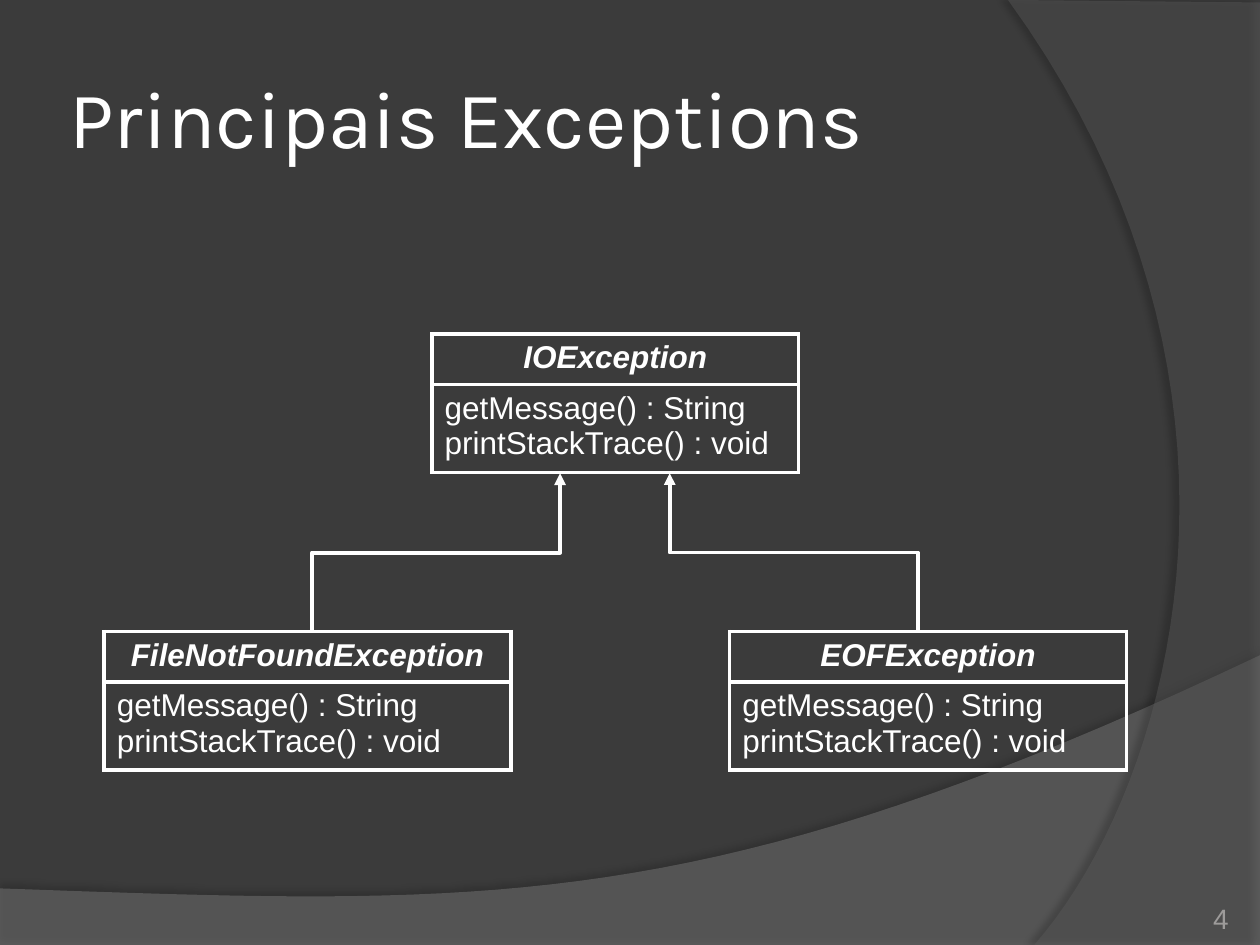
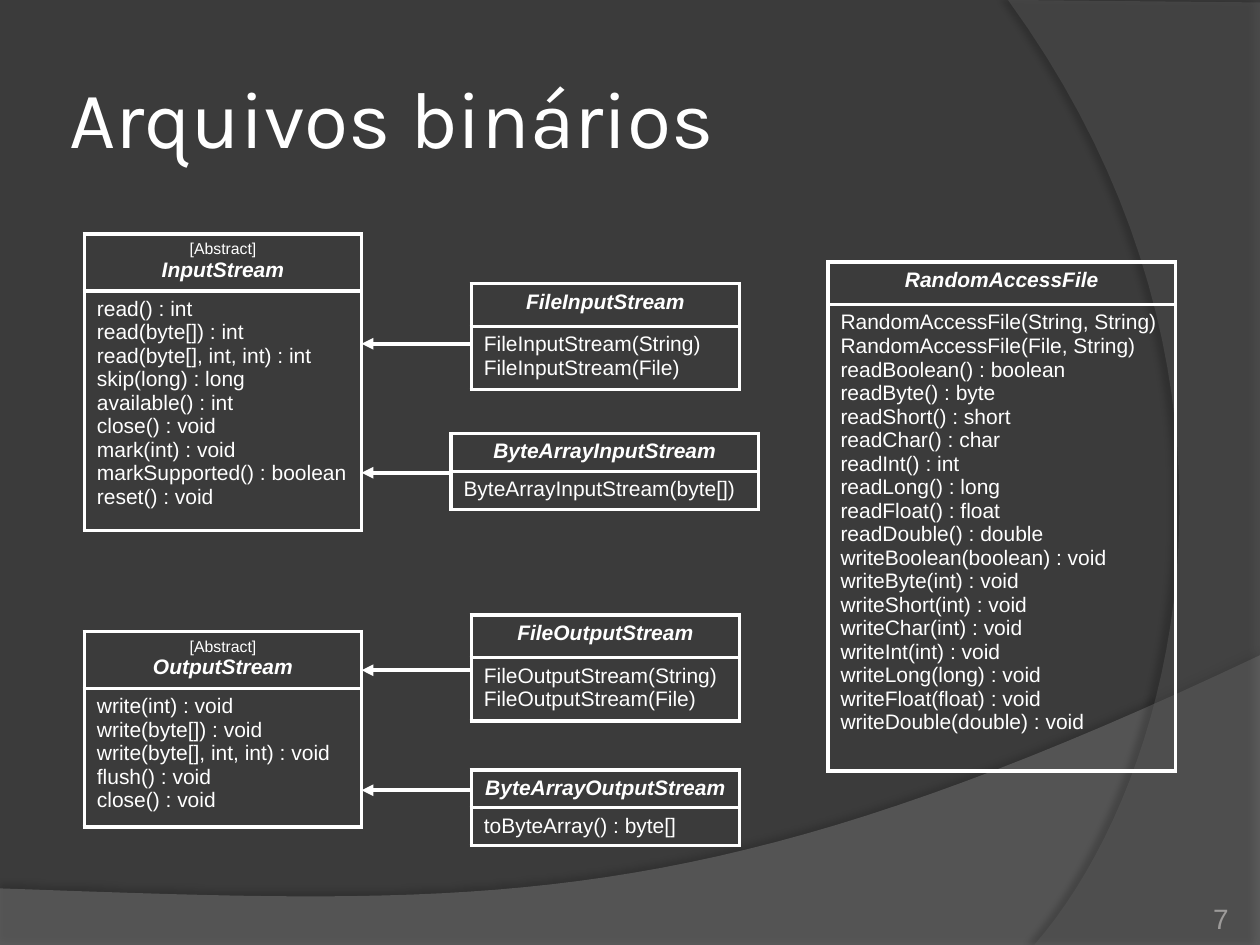
from lxml import etree
from pptx import Presentation
from pptx import util as u
from pptx.dml.color import RGBColor
from pptx.enum import shapes, text
from pptx.oxml import ns

BACKGROUND = RGBColor(0x3B, 0x3B, 0x3B)
WHITE = RGBColor(0xFF, 0xFF, 0xFF)
PAGE_GREY = RGBColor(0x9D, 0x9B, 0x9A)
BOTTOM_GREY = RGBColor(0x7F, 0x7F, 0x7F)
SIDE_GREY = RGBColor(0x5E, 0x5E, 0x5E)

LINE_WIDTH = u.Pt(2.25)
LINE_HEIGHT = 0.0395  # cm per point of text size
TITLE_FONT = {"name": "Karla", "size": u.Pt(46), "bold": False}
PAGE_FONT = {"name": "Arial", "size": u.Pt(16)}
BODY_FONT = {"name": "Arial", "bold": False, "italic": False}
CLASS_FONT = {"name": "Arial", "bold": True, "italic": True}

# Filled bands: colour, opacity, corners, curve from the last corner, shadow
BANDS = [
    (BOTTOM_GREY, 45, [(0, 17.91), (0, 19.08), (25.4, 19.08), (25.4, 13.21)],
     [(14.2, 18.52), (9.93, 18.26), (0, 17.91)],
     {"blurRad": u.Pt(4), "dist": u.Pt(3.5), "dir": 270 * 60000}, 35),
    (SIDE_GREY, 40, [(25.4, 0.05), (25.4, 19.05), (20.85, 19.05)],
     [(23.75, 15.72), (25.86, 7.62), (20.32, 0)],
     {"blurRad": u.Pt(4), "dist": u.Pt(4), "dir": 180 * 60000}, 45),
]
CURVE_STEPS = 40

# Class boxes: name, abstract, left, top, width, header height, members
MESSAGES = ["getMessage() : String", "printStackTrace() : void"]
EXCEPTIONS = [
    ("IOException", False, 8.71, 6.73, 7.39, 0.97, MESSAGES),
    ("FileNotFoundException", False, 2.1, 12.73, 8.2, 0.97, MESSAGES),
    ("EOFException", False, 14.71, 12.73, 8, 0.97, MESSAGES),
]
TYPES = ["Boolean", "Byte", "Short", "Char", "Int", "Long", "Float", "Double"]
WRITE_ARGUMENTS = ["boolean", "int", "int", "int", "int", "long", "float", "double"]
RANDOM_ACCESS = (
    ["RandomAccessFile(String, String)", "RandomAccessFile(File, String)"]
    + [f"read{name}() : {name.lower()}" for name in TYPES]
    + [f"write{name}({argument}) : void"
       for name, argument in zip(TYPES, WRITE_ARGUMENTS)]
)
STREAMS = [
    ("InputStream", True, 1.7, 4.72, 5.59, 1.09,
     ["read() : int", "read(byte[]) : int", "read(byte[], int, int) : int",
      "skip(long) : long", "available() : int", "close() : void",
      "mark(int) : void", "markSupported() : boolean", "reset() : void"]),
    ("OutputStream", True, 1.7, 12.73, 5.59, 1.09,
     ["write(int) : void", "write(byte[]) : void",
      "write(byte[], int, int) : void", "flush() : void", "close() : void"]),
    ("FileOutputStream", False, 9.5, 12.4, 5.41, 0.86,
     ["FileOutputStream(String)", "FileOutputStream(File)"]),
    ("FileInputStream", False, 9.5, 5.72, 5.41, 0.86,
     ["FileInputStream(String)", "FileInputStream(File)"]),
    ("ByteArrayInputStream", False, 9.09, 8.74, 6.2, 0.74,
     ["ByteArrayInputStream(byte[])"]),
    ("ByteArrayOutputStream", False, 9.5, 15.52, 5.41, 0.74,
     ["toByteArray() : byte[]"]),
    ("RandomAccessFile", False, 16.69, 5.28, 7.01, 0.86, RANDOM_ACCESS),
]

# Arrows: connector type, start x and y, end x and y, rotation in degrees
ELBOW = shapes.MSO_CONNECTOR.ELBOW
STRAIGHT = shapes.MSO_CONNECTOR.STRAIGHT
EXCEPTION_ARROWS = [
    (ELBOW, 14.4, 13.64, 17.6, 8.64, 270),
    (ELBOW, 7.19, 8.64, 10.39, 13.64, 270),
]
STREAM_ARROWS = [
    (STRAIGHT, left, y, 7.29, y, 0)
    for left, y in [(9.5, 6.93), (9.09, 9.53), (9.5, 13.51), (9.5, 15.93)]
]

# Slides: title, page number, text size, class boxes, arrows
SLIDES = [
    ("Principais Exceptions", "4", 18, EXCEPTIONS, EXCEPTION_ARROWS),
    ("Arquivos binários", "7", 12, STREAMS, STREAM_ARROWS),
]


def format_text(paragraph, values, colour, alignment):
    paragraph.alignment = alignment
    for name, value in values.items():
        setattr(paragraph.font, name, value)
    paragraph.font.color.rgb = colour


def add_element(parent, tag, **attributes):
    element = etree.SubElement(parent, ns.qn(tag))
    for name, value in attributes.items():
        element.set(name, str(value))
    return element


presentation = Presentation()
presentation.slide_width = u.Cm(25.4)
presentation.slide_height = u.Cm(19.05)
layout = presentation.slide_layouts[5]
layout.background.fill.solid()
layout.background.fill.fore_color.rgb = BACKGROUND

for title, page, size, classes, arrows in SLIDES:
    slide = presentation.slides.add_slide(layout)

    # Curved background bands
    for colour, opacity, corners, curve, shadow, shadow_opacity in BANDS:
        points = list(corners)
        controls = [corners[-1]] + curve
        for step in range(1, CURVE_STEPS + 1):
            t = step / CURVE_STEPS
            weights = [(1 - t) ** 3, 3 * t * (1 - t) ** 2, 3 * t * t * (1 - t), t ** 3]
            points.append(tuple(
                sum(weight * control[axis] for weight, control in zip(weights, controls))
                for axis in (0, 1)))
        points = [(u.Cm(x), u.Cm(y)) for x, y in points]
        builder = slide.shapes.build_freeform(*points[0])
        builder.add_line_segments(points[1:], close=True)
        band = builder.convert_to_shape()
        band.fill.solid()
        band.fill.fore_color.rgb = colour
        band.line.fill.background()
        band.shadow.inherit = False
        properties = band._element.spPr
        fill_colour = properties.find(ns.qn("a:solidFill"))[0]
        add_element(fill_colour, "a:alpha", val=opacity * 1000)
        effect = add_element(properties.find(ns.qn("a:effectLst")), "a:outerShdw", **shadow)
        shadow_colour = add_element(effect, "a:srgbClr", val="000000")
        add_element(shadow_colour, "a:alpha", val=shadow_opacity * 1000)

    # Title and page number
    heading = slide.shapes.title
    heading.left, heading.top = u.Cm(1.27), u.Cm(0.76)
    heading.width, heading.height = u.Cm(20.75), u.Cm(3.18)
    number = slide.shapes.add_textbox(u.Cm(22.66), u.Cm(17.83), u.Cm(2.11), u.Cm(1.02))
    for shape, words, margin, anchor, values, colour, alignment in [
        (heading, title, 0.13, text.MSO_ANCHOR.MIDDLE, TITLE_FONT, WHITE, text.PP_ALIGN.LEFT),
        (number, page, 0, text.MSO_ANCHOR.BOTTOM, PAGE_FONT, PAGE_GREY, text.PP_ALIGN.RIGHT),
    ]:
        frame = shape.text_frame
        frame.text = words
        frame.word_wrap = True
        frame.vertical_anchor = anchor
        for side in ("left", "right", "top", "bottom"):
            setattr(frame, f"margin_{side}", u.Cm(margin))
        format_text(frame.paragraphs[0], values, colour, alignment)

    # Class boxes
    for name, abstract, left, top, width, header_height, members in classes:
        body_height = len(members) * size * LINE_HEIGHT + 0.25
        table = slide.shapes.add_table(
            2, 1, u.Cm(left), u.Cm(top), u.Cm(width),
            u.Cm(header_height + body_height)).table
        table.first_row = table.horz_banding = False
        header_lines = ["[Abstract]", name] if abstract else [name]
        for row, (height, lines, values, alignment) in enumerate([
            (header_height, header_lines, CLASS_FONT, text.PP_ALIGN.CENTER),
            (body_height, members, BODY_FONT, text.PP_ALIGN.LEFT),
        ]):
            table.rows[row].height = u.Cm(height)
            cell = table.cell(row, 0)
            cell.text_frame.text = "\n".join(lines)
            for paragraph in cell.text_frame.paragraphs:
                format_text(paragraph, {**values, "size": u.Pt(size)}, WHITE, alignment)
            cell_properties = cell._tc.get_or_add_tcPr()
            for side in "LRTB":
                border = add_element(cell_properties, f"a:ln{side}", w=LINE_WIDTH)
                add_element(add_element(border, "a:solidFill"), "a:srgbClr", val=WHITE)
            cell.fill.background()
        if abstract:
            format_text(table.cell(0, 0).text_frame.paragraphs[0],
                        {**BODY_FONT, "size": u.Pt(9)}, WHITE, text.PP_ALIGN.CENTER)

    # Inheritance arrows
    for kind, start_x, start_y, end_x, end_y, rotation in arrows:
        arrow = slide.shapes.add_connector(
            kind, u.Cm(start_x), u.Cm(start_y), u.Cm(end_x), u.Cm(end_y))
        arrow.line.color.rgb = WHITE
        arrow.line.width = LINE_WIDTH
        properties = arrow._element.spPr
        if rotation:
            properties.find(ns.qn("a:xfrm")).set("rot", str(rotation * 60000))
        add_element(properties.find(ns.qn("a:ln")), "a:tailEnd", type="triangle")
        add_element(properties, "a:effectLst")

presentation.save("out.pptx")
